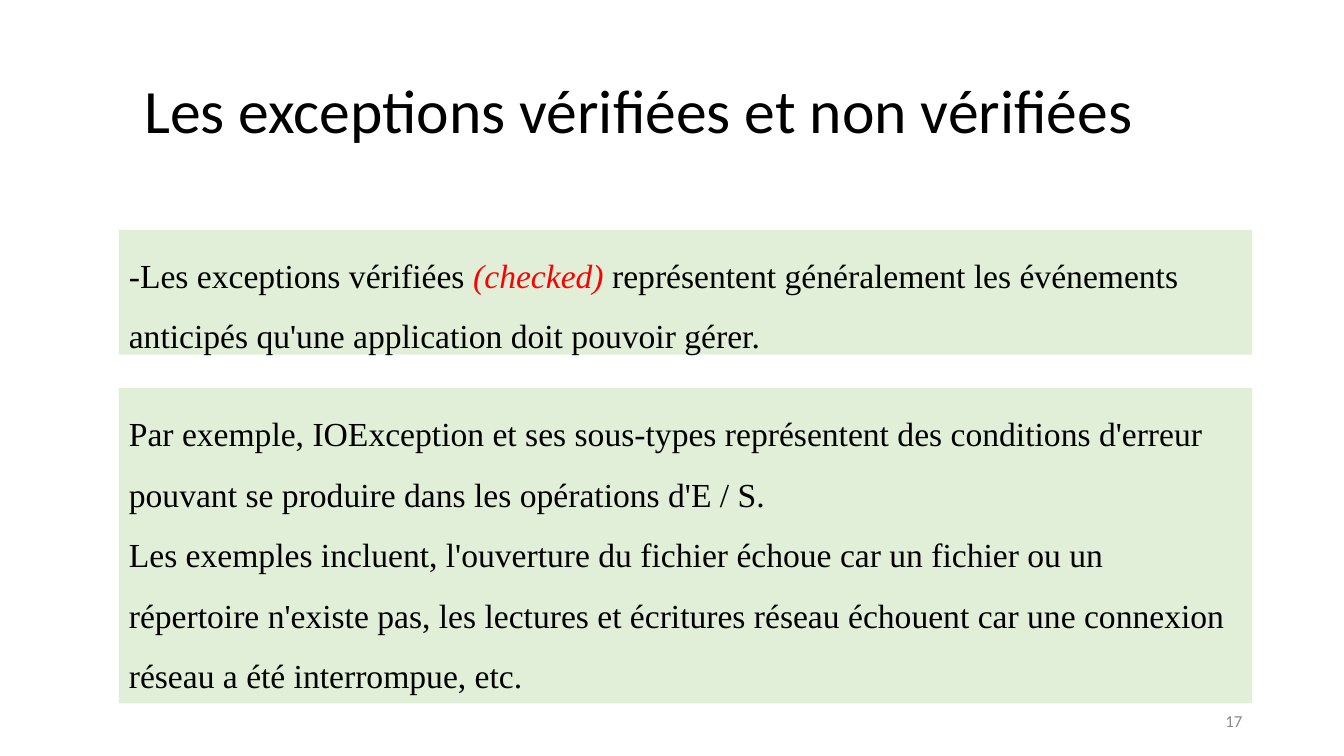
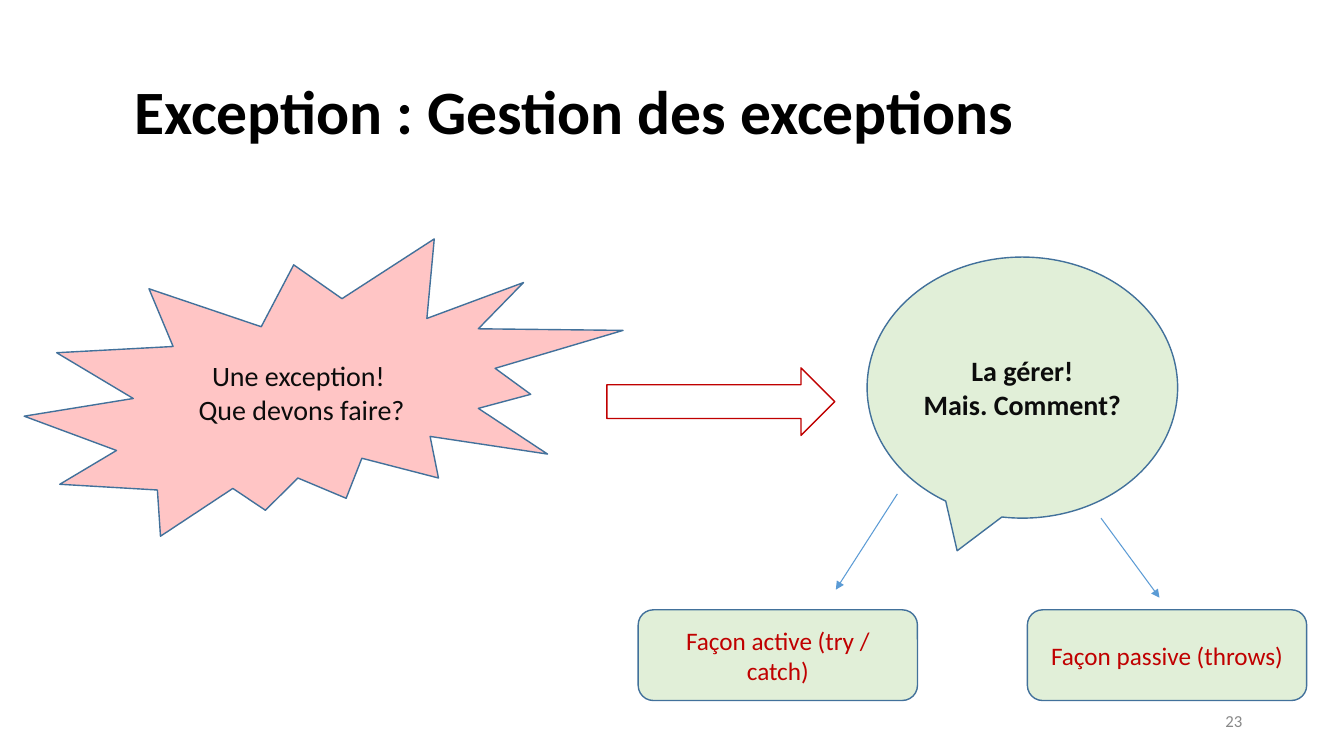
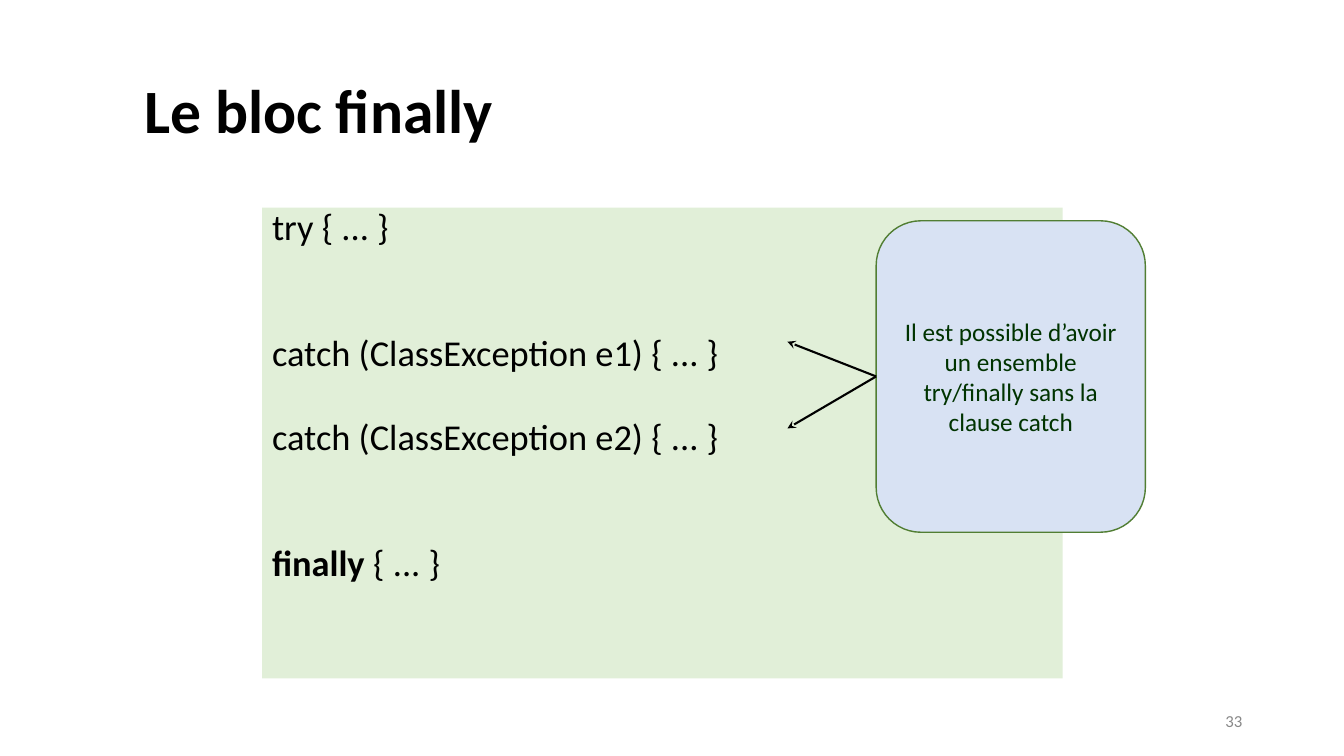
from pptx import Presentation, dml, util as u
from pptx.dml import color
from pptx.enum import shapes, text
from pptx.oxml import ns
from lxml import etree

GREEN, BLUE, ROSE = "E1EFD8", "D8E2F3", "FFC5C5"
RED, STEEL, INK = "C00000", "42719B", "0C0C0C"
SANS, SERIF = "Calibri", "Times New Roman"
KIND = shapes.MSO_SHAPE
ALIGN = {"l": text.PP_ALIGN.LEFT, "c": text.PP_ALIGN.CENTER,
         "r": text.PP_ALIGN.RIGHT}

# Content: a paragraph is a string or a list of (text, format) runs
HEADS = [  # title, bold, left, top, text inset, page number
    ("Les exceptions vérifiées et non vérifiées", False, 0.92, 0.4, 0.51, "17"),
    ("Exception : Gestion des exceptions", True, 0.95, 0.41, 0.38, "23"),
    ("Le bloc finally", True, 0.92, 0.4, 0.51, "33"),
]
PANELS = [  # top, height, paragraphs
    (2.28, 1.24, [[
        ("-Les exceptions vérifiées ", {}),
        ("(checked) ", {"ink": "FF0000", "italic": True}),
        ("représentent généralement les événements anticipés qu'une "
         "application doit pouvoir gérer.", {})]]),
    (3.85, 3.13, [
        "Par exemple, IOException et ses sous-types représentent des "
        "conditions d'erreur pouvant se produire dans les opérations "
        "d'E / S.",
        "Les exemples incluent, l'ouverture du fichier échoue car un "
        "fichier ou un répertoire n'existe pas, les lectures et écritures "
        "réseau échouent car une connexion réseau a été interrompue, etc."]),
]
ASK = ["Une exception! ", "Que devons faire?"]
REPLY = ["La gérer!", "Mais. Comment?"]
WAYS = ["Façon active (try / catch)", "Façon passive (throws)"]
FORKS = [((8.9, 4.9), (8.29, 5.85)), ((10.92, 5.14), (11.5, 5.93))]
CODE = [  # rows left free above, paragraph
    (0, "try { ... }"),
    (2, "catch (ClassException e1) { ... }"),
    (1, "catch (ClassException e2) { ... }"),
    (2, [("finally", {"bold": True}), (" { ... }", {})]),
]
NOTE = "Il est possible d’avoir un ensemble try/finally sans la clause catch"
TIPS = [3.39, 4.25]


def rgb(code):
    """Turn a hex string into a colour."""
    return color.RGBColor.from_string(code)


def box(at):
    """Turn inches into lengths."""
    return [u.Inches(n) for n in at]


def write(frame, paras, size=18, face=SANS, ink="000000", bold=False,
          align="l", lead=None, mid=True, gaps=None):
    """Fill a text frame with formatted paragraphs."""
    frame.word_wrap = True
    frame.auto_size = text.MSO_AUTO_SIZE.NONE
    frame.vertical_anchor = (text.MSO_ANCHOR.MIDDLE if mid
                             else text.MSO_ANCHOR.TOP)
    for i, runs in enumerate(paras):
        para = frame.add_paragraph() if i else frame.paragraphs[0]
        para.alignment = ALIGN[align]
        if lead:
            para.line_spacing = lead
        if gaps:
            para.space_before = u.Pt(gaps[i])
        for words, form in [(runs, {})] if isinstance(runs, str) else runs:
            run = para.add_run()
            run.text = words
            font = run.font
            font.name, font.size = face, u.Pt(size)
            font.bold = form.get("bold", bold)
            font.italic = form.get("italic", False)
            font.color.rgb = rgb(form.get("ink", ink))


def draw(slide, kind, at, fill=None, line=None, adj=(), paras=(), **form):
    """Add a preset shape with its text."""
    shape = slide.shapes.add_shape(kind, *box(at))
    shape.shadow.inherit = False
    for i, value in enumerate(adj):
        shape.adjustments[i] = value
    if fill:
        shape.fill.solid()
        shape.fill.fore_color.rgb = rgb(fill)
    else:
        shape.fill.background()
    if line:
        shape.line.color.rgb = rgb(line)
        shape.line.width = u.Pt(1)
    else:
        shape.line.fill.background()
    write(shape.text_frame, paras, **form)


def arrow(slide, start, end, ink, width, head):
    """Add a straight line with an arrowhead at its end."""
    link = slide.shapes.add_connector(
        shapes.MSO_CONNECTOR.STRAIGHT, *box(start + end))
    link.line.color.rgb = rgb(ink)
    link.line.width = u.Pt(width)
    etree.SubElement(link.get_or_add_ln(), ns.qn("a:tailEnd"), type=head)
    etree.SubElement(link.element.spPr, ns.qn("a:effectLst"))


def start(deck, name, bold, left, top, inset, page):
    """Add a slide with its title and page number."""
    slide = deck.slides.add_slide(deck.slide_layouts[5])
    title = slide.shapes.title
    title.left, title.top, title.width, title.height = box(
        (left, top, 11.5, 1.45))
    title.text_frame.margin_left = u.Inches(inset)
    write(title.text_frame, [name], size=44, bold=bold, lead=0.9)
    foot = slide.shapes.add_textbox(*box((9.42, 6.95, 3, 0.4)))
    write(foot.text_frame, [page], size=12, ink="888888", align="r")
    return slide


deck = Presentation()
deck.slide_width, deck.slide_height = box((13.33, 7.5))
types, manage, final = [start(deck, *head) for head in HEADS]

# Checked exceptions
for top, high, paras in PANELS:
    draw(types, KIND.RECTANGLE, (1.18, top, 11.24, high), GREEN,
         paras=paras, size=24, face=SERIF, lead=1.5, mid=False)

# Handling
draw(manage, KIND.EXPLOSION2, (0.24, 2.37, 5.94, 2.95), ROSE, STEEL,
     paras=ASK, size=20, ink=INK, align="c")
draw(manage, KIND.RIGHT_ARROW, (6.02, 3.65, 2.26, 0.67), line=RED,
     adj=(0.5, 0.5))
draw(manage, KIND.OVAL_CALLOUT, (8.6, 2.55, 3.08, 2.59), GREEN, STEEL,
     adj=(-0.21, 0.625), paras=REPLY, size=20, ink=INK, bold=True, align="c")
for tail, tip in FORKS:
    arrow(manage, tail, tip, "5B9BD5", 0.75, "triangle")
for i, way in enumerate(WAYS):
    draw(manage, KIND.ROUNDED_RECTANGLE, (6.33 + 3.86 * i, 6.05, 2.77, 0.9),
         GREEN, STEEL, paras=[way], ink=RED, align="c")

# Finally block
draw(final, KIND.RECTANGLE, (2.6, 2.06, 7.94, 4.67), GREEN,
     paras=[row for _, row in CODE], size=26, lead=0.8, mid=False,
     gaps=[5 + 30 * free if free else 0 for free, _ in CODE])
left, top, wide, high = 8.69, 2.19, 2.67, 3.09
draw(final, KIND.ROUNDED_RECTANGLE, (left, top, wide, high), BLUE, "517E33",
     paras=[NOTE], ink="003300", align="c")
for tip in TIPS:
    arrow(final, (left, top + high / 2), (7.81, tip), "000000", 1.5,
          "stealth")

deck.save("out.pptx")
